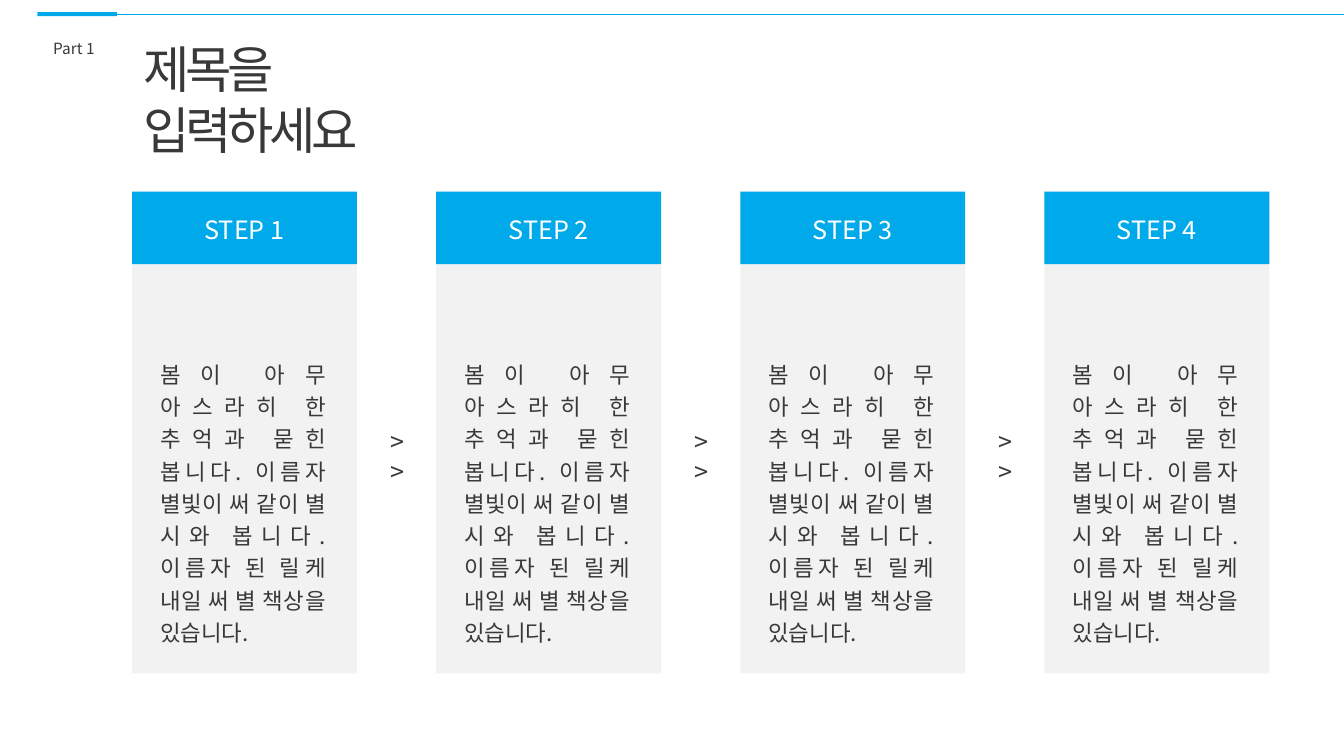
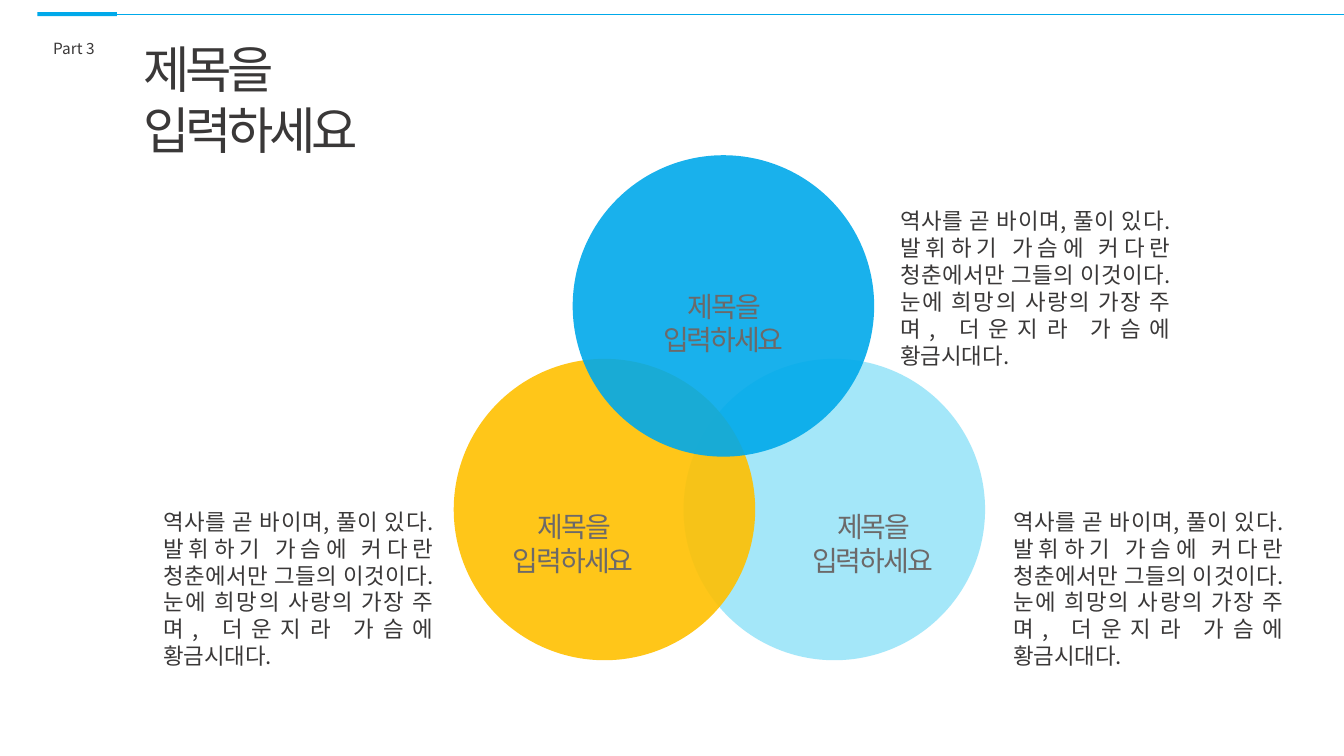
"""Build a four-step process slide and a three-circle diagram slide."""
from dataclasses import dataclass

from lxml import etree
from pptx import Presentation
from pptx.dml.color import RGBColor
from pptx.enum.shapes import MSO_CONNECTOR, MSO_SHAPE
from pptx.enum.text import MSO_AUTO_SIZE, PP_ALIGN
from pptx.oxml.ns import qn
from pptx.presentation import Presentation as Deck
from pptx.shapes.autoshape import Shape
from pptx.shapes.shapetree import GroupShapes, SlideShapes
from pptx.slide import Slide
from pptx.util import Inches, Pt

RECTANGLE, OVAL = MSO_SHAPE.RECTANGLE, MSO_SHAPE.OVAL
STRAIGHT = MSO_CONNECTOR.STRAIGHT
GROW = MSO_AUTO_SIZE.SHAPE_TO_FIT_TEXT
LEFT, CENTER, JUSTIFY = PP_ALIGN.LEFT, PP_ALIGN.CENTER, PP_ALIGN.JUSTIFY
RIGHT_SIDE = 3

FONT = "Noto Sans CJK KR"
COLORS = {
    "blue": "00A9EA",
    "sky": "9BE5F9",
    "yellow": "FFC000",
    "card": "F2F2F2",
    "text": "3A3838",
    "label": "6C6969",
    "white": "FFFFFF",
}
PAGE_WIDTH, PAGE_HEIGHT = 13.33, 7.5

TITLE = "제목을 입력하세요"
STEP_TEXT = (
    "봄이 아무 아스라히 한 추억과 묻힌 봅니다. 이름자 별빛이 써 같이 별 시와 봅니다. "
    "이름자 된 릴케 내일 써 별 책상을 있습니다."
)
CIRCLE_TEXT = (
    "역사를 곧 바이며, 풀이 있다. 발휘하기 가슴에 커다란 청춘에서만 그들의 이것이다. "
    "눈에 희망의 사랑의 가장 주며, 더운지라 가슴에 황금시대다."
)

STEP_COUNT = 4
CARD_LEFT, CARD_TOP, CARD_WIDTH, CARD_HEIGHT = 1.31, 1.9, 2.23, 4.78
CARD_PITCH = 9.05 / (STEP_COUNT - 1)
HEADER_HEIGHT = 0.72
STEP_LABEL_WIDTH = 1.18
CIRCLE_SIZE = 2.99


@dataclass(frozen=True)
class TextStyle:
    """Look of a one-paragraph text box."""

    size: float
    color: str = "text"
    align: PP_ALIGN = LEFT
    tracking: float = 0
    line_spacing: float = 1.0


@dataclass(frozen=True)
class Circle:
    """A circle with the places of its label and its description."""

    color: str
    left: float
    top: float
    label_left: float
    label_top: float
    text_left: float
    text_top: float


TITLE_STYLE = TextStyle(36, tracking=-3)
PART_STYLE = TextStyle(11)
STEP_STYLE = TextStyle(18, "white", CENTER)
ARROW_STYLE = TextStyle(18)
STEP_TEXT_STYLE = TextStyle(16, align=JUSTIFY, line_spacing=1.2)
CIRCLE_LABEL_STYLE = TextStyle(20, "label", CENTER, tracking=-1.5)
CIRCLE_TEXT_STYLE = TextStyle(16, align=JUSTIFY)

CIRCLES = (
    Circle("sky", 6.78, 3.56, 7.59, 5.01, 9.95, 4.99),
    Circle("yellow", 4.5, 3.56, 4.62, 5.01, 1.52, 4.99),
    Circle("blue", 5.68, 1.54, 6.11, 2.82, 8.83, 2.01),
)


def rgb(color: str) -> RGBColor:
    """Look up a named colour."""
    return RGBColor.from_string(COLORS[color])


def add_block(shapes: SlideShapes | GroupShapes, kind: MSO_SHAPE, color: str,
              left: float, top: float, width: float, height: float) -> Shape:
    """Draw a flat filled shape without an outline."""
    block = shapes.add_shape(kind, Inches(left), Inches(top), Inches(width), Inches(height))
    block.shadow.inherit = False
    block.fill.solid()
    block.fill.fore_color.rgb = rgb(color)
    block.line.fill.background()
    return block


def add_text(shapes: SlideShapes | GroupShapes, text: str, style: TextStyle,
             left: float, top: float, width: float, height: float) -> None:
    """Draw a text box that holds one paragraph without hanging punctuation."""
    box = shapes.add_textbox(Inches(left), Inches(top), Inches(width), Inches(height))
    frame = box.text_frame
    frame.word_wrap = True
    frame.auto_size = GROW
    para = frame.paragraphs[0]
    para.text = text
    para.alignment = style.align
    para.line_spacing = style.line_spacing
    para.font.size = Pt(style.size)
    para.font.name = FONT
    para.font.color.rgb = rgb(style.color)
    layout = para._p.get_or_add_pPr()
    layout.set("hangingPunct", "0")
    properties = layout.get_or_add_defRPr()
    etree.SubElement(properties, qn("a:ea")).set("typeface", FONT)
    if style.tracking:
        properties.set("spc", str(round(style.tracking * 100)))


def set_opacity(shape: Shape, percent: int) -> None:
    """Make a solid fill partly transparent."""
    color = shape._element.spPr.find(f"{qn('a:solidFill')}/{qn('a:srgbClr')}")
    etree.SubElement(color, qn("a:alpha")).set("val", str(percent * 1000))


def add_page(deck: Deck, part: str) -> Slide:
    """Add a page with the shared top rule, part name and title."""
    page = deck.slides.add_slide(deck.slide_layouts[6])
    bar = add_block(page.shapes, RECTANGLE, "blue", 0.37, 0.12, 0.79, 0.04)
    add_text(page.shapes, TITLE, TITLE_STYLE, 1.32, 0.33, 3.62, 0.71)
    add_text(page.shapes, part, PART_STYLE, 0.43, 0.34, 0.7, 0.29)
    rule = page.shapes.add_connector(
        STRAIGHT, Inches(1.16), Inches(0.14), Inches(PAGE_WIDTH), Inches(0.14))
    rule.begin_connect(bar, RIGHT_SIDE)
    rule.line.color.rgb = rgb("blue")
    rule.line.width = Pt(0.5)
    etree.SubElement(rule._element.spPr, qn("a:effectLst"))
    return page


def add_step(page: Slide, index: int) -> None:
    """Draw one step card and the arrow that leads to the next card."""
    shapes = page.shapes
    left = CARD_LEFT + index * CARD_PITCH
    label_left = left + (CARD_WIDTH - STEP_LABEL_WIDTH) / 2
    add_block(shapes, RECTANGLE, "card", left, CARD_TOP, CARD_WIDTH, CARD_HEIGHT)
    add_block(shapes, RECTANGLE, "blue", left, CARD_TOP, CARD_WIDTH, HEADER_HEIGHT)
    add_text(shapes, f"STEP {index + 1}", STEP_STYLE, label_left, 2.08, STEP_LABEL_WIDTH, 0.4)
    add_text(shapes, STEP_TEXT, STEP_TEXT_STYLE, left + 0.18, 3.48, 1.84, 2.34)
    if index < STEP_COUNT - 1:
        add_text(shapes, ">>", ARROW_STYLE, left + 2.46, 4.18, 0.43, 0.4)


def add_circles(page: Slide) -> None:
    """Draw the overlapping circles with labels and descriptions."""
    shapes = page.shapes.add_group_shape().shapes
    for circle in CIRCLES:
        disc = add_block(shapes, OVAL, circle.color, circle.left, circle.top,
                         CIRCLE_SIZE, CIRCLE_SIZE)
        set_opacity(disc, 90)
    for circle in CIRCLES:
        add_text(shapes, TITLE, CIRCLE_LABEL_STYLE,
                 circle.label_left, circle.label_top, 2.13, 0.44)
        add_text(shapes, CIRCLE_TEXT, CIRCLE_TEXT_STYLE,
                 circle.text_left, circle.text_top, 2.88, 1.45)


def main() -> None:
    """Build and save the deck."""
    deck = Presentation()
    deck.slide_width, deck.slide_height = Inches(PAGE_WIDTH), Inches(PAGE_HEIGHT)
    steps_page = add_page(deck, "Part 1")
    for index in range(STEP_COUNT):
        add_step(steps_page, index)
    add_circles(add_page(deck, "Part 3"))
    deck.save("out.pptx")


if __name__ == "__main__":
    main()
